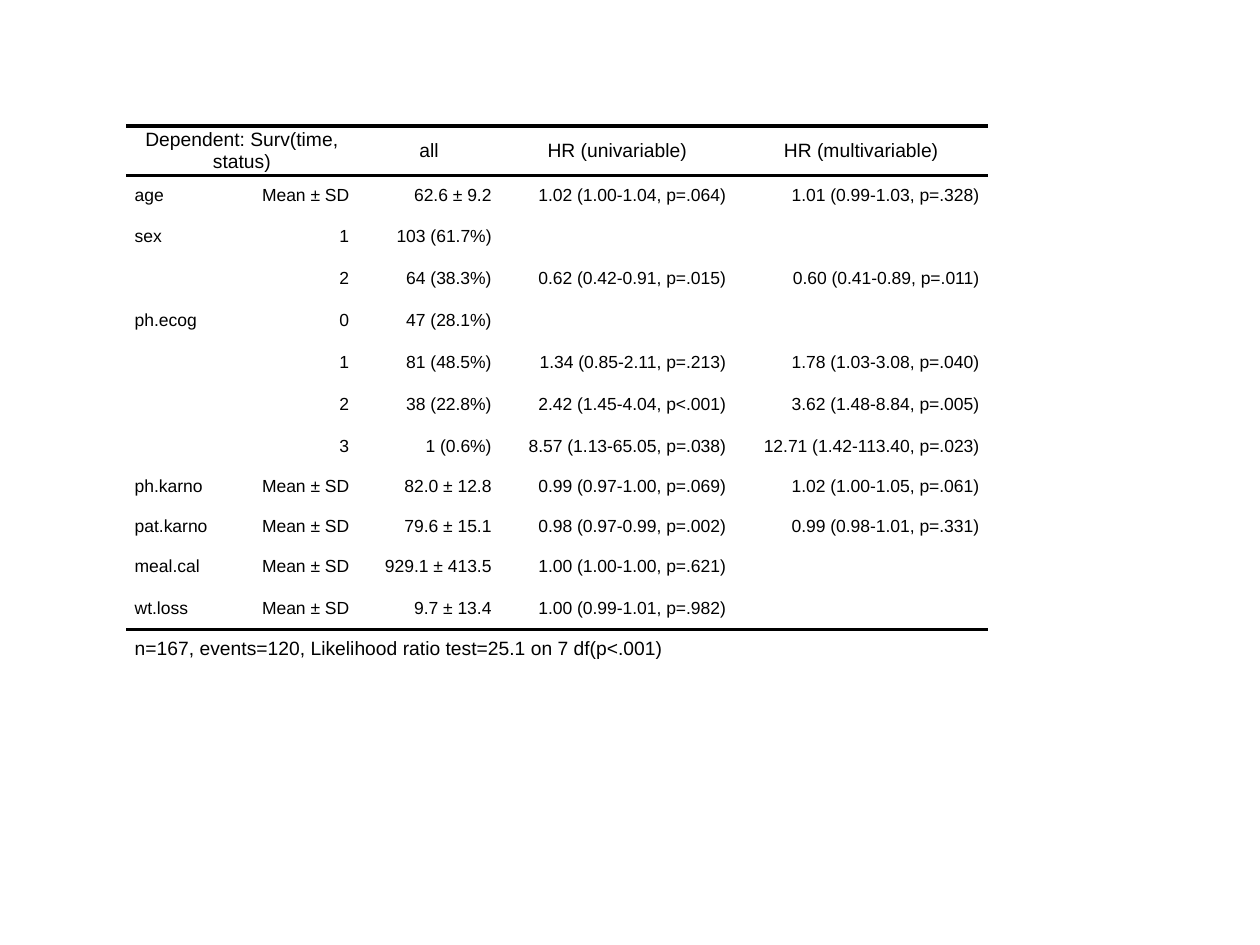
import pptx
import pptx.dml.color
import pptx.enum.text
import pptx.oxml
import pptx.util
from pptx.oxml.ns import nsdecls, qn

Inches, Pt = pptx.util.Inches, pptx.util.Pt
ALIGN = pptx.enum.text.PP_ALIGN
BLACK = pptx.dml.color.RGBColor(0, 0, 0)
PLAIN_TABLE_STYLE = "{2D5ABB26-0587-4C30-8999-92F81FD0307C}"

HEADER = ["Dependent: Surv(time, status)", "", "all", "HR (univariable)", "HR (multivariable)"]
ESTIMATES = [
    ["age", "Mean ± SD", "62.6 ± 9.2", "1.02 (1.00-1.04, p=.064)", "1.01 (0.99-1.03, p=.328)"],
    ["sex", "1", "103 (61.7%)", "", ""],
    ["", "2", "64 (38.3%)", "0.62 (0.42-0.91, p=.015)", "0.60 (0.41-0.89, p=.011)"],
    ["ph.ecog", "0", "47 (28.1%)", "", ""],
    ["", "1", "81 (48.5%)", "1.34 (0.85-2.11, p=.213)", "1.78 (1.03-3.08, p=.040)"],
    ["", "2", "38 (22.8%)", "2.42 (1.45-4.04, p<.001)", "3.62 (1.48-8.84, p=.005)"],
    ["", "3", "1 (0.6%)", "8.57 (1.13-65.05, p=.038)", "12.71 (1.42-113.40, p=.023)"],
    ["ph.karno", "Mean ± SD", "82.0 ± 12.8", "0.99 (0.97-1.00, p=.069)", "1.02 (1.00-1.05, p=.061)"],
    ["pat.karno", "Mean ± SD", "79.6 ± 15.1", "0.98 (0.97-0.99, p=.002)", "0.99 (0.98-1.01, p=.331)"],
    ["meal.cal", "Mean ± SD", "929.1 ± 413.5", "1.00 (1.00-1.00, p=.621)", ""],
    ["wt.loss", "Mean ± SD", "9.7 ± 13.4", "1.00 (0.99-1.01, p=.982)", ""],
]
FOOTNOTE = ["n=167, events=120, Likelihood ratio test=25.1 on 7 df(p<.001)", "", "", "", ""]

ROWS = [HEADER, *ESTIMATES, FOOTNOTE]
COLUMN_WIDTHS = [0.86, 0.98, 1.13, 1.86, 2.01]
# Rows with a blank cell are slightly taller than full ones.
ESTIMATE_HEIGHTS = [Pt(22.5) if all(texts) else Pt(24) for texts in ESTIMATES]
ROW_HEIGHTS = [Inches(0.32), *ESTIMATE_HEIGHTS, Inches(0.25)]
LAST_ESTIMATE, FOOT = len(ESTIMATES), len(ESTIMATES) + 1
SIDE_INDENT = Pt(5)


def apply_format(target, values):
    for name, value in values.items():
        setattr(target, name, value)


def add_rule(cell, side):
    """Draw a 2 pt black border on side "T" or "B" of a cell."""
    cell.fill._xPr.append(pptx.oxml.parse_xml(
        f'<a:ln{side} {nsdecls("a")} w="{Pt(2)}"><a:solidFill>'
        f'<a:srgbClr val="{BLACK}"/></a:solidFill></a:ln{side}>'))


def fill_cell(cell, text, row, column):
    padding = Pt(5) if row == FOOT else Pt(2)
    apply_format(cell, {
        "margin_left": 0, "margin_right": 0, "margin_top": padding, "margin_bottom": padding,
        "vertical_anchor": pptx.enum.text.MSO_ANCHOR.MIDDLE})
    if row == 0:
        add_rule(cell, "T")
    if row in (0, LAST_ESTIMATE):
        add_rule(cell, "B")
    cell.fill.background()

    paragraph = cell.text_frame.paragraphs[0]
    if not text:
        end = paragraph._p.get_or_add_endParaRPr()
        end.set("sz", "1000")
        return
    alignment = ALIGN.CENTER if row == 0 else ALIGN.RIGHT if column else ALIGN.LEFT
    apply_format(paragraph, {"alignment": alignment, "space_before": padding, "space_after": padding})
    properties = paragraph._p.get_or_add_pPr()
    for margin in ("marL", "marR"):
        properties.set(margin, str(SIDE_INDENT))
    run = paragraph.add_run()
    run.text = text
    size = Pt(11) if row in (0, FOOT) else Pt(10)
    apply_format(run.font, {"name": "Arial", "size": size})
    run.font.color.rgb = BLACK


presentation = pptx.Presentation()
apply_format(presentation, {"slide_width": Inches(10), "slide_height": Inches(7.5)})
slide = presentation.slides.add_slide(presentation.slide_layouts[6])

frame = slide.shapes.add_table(
    len(ROWS), len(COLUMN_WIDTHS), Inches(1), Inches(1), Inches(4), Inches(3))
hazard_ratios = frame.table
apply_format(hazard_ratios, {"first_row": False, "horz_banding": False})
hazard_ratios._tbl.tblPr.find(qn("a:tableStyleId")).text = PLAIN_TABLE_STYLE
for column, width in zip(hazard_ratios.columns, COLUMN_WIDTHS):
    column.width = Inches(width)
for row, height in zip(hazard_ratios.rows, ROW_HEIGHTS):
    row.height = height
apply_format(frame, {"width": Inches(4), "height": Inches(3)})

for r, texts in enumerate(ROWS):
    for c, text in enumerate(texts):
        fill_cell(hazard_ratios.cell(r, c), text, r, c)
hazard_ratios.cell(0, 0).merge(hazard_ratios.cell(0, 1))
hazard_ratios.cell(FOOT, 0).merge(hazard_ratios.cell(FOOT, len(COLUMN_WIDTHS) - 1))

presentation.save("out.pptx")
